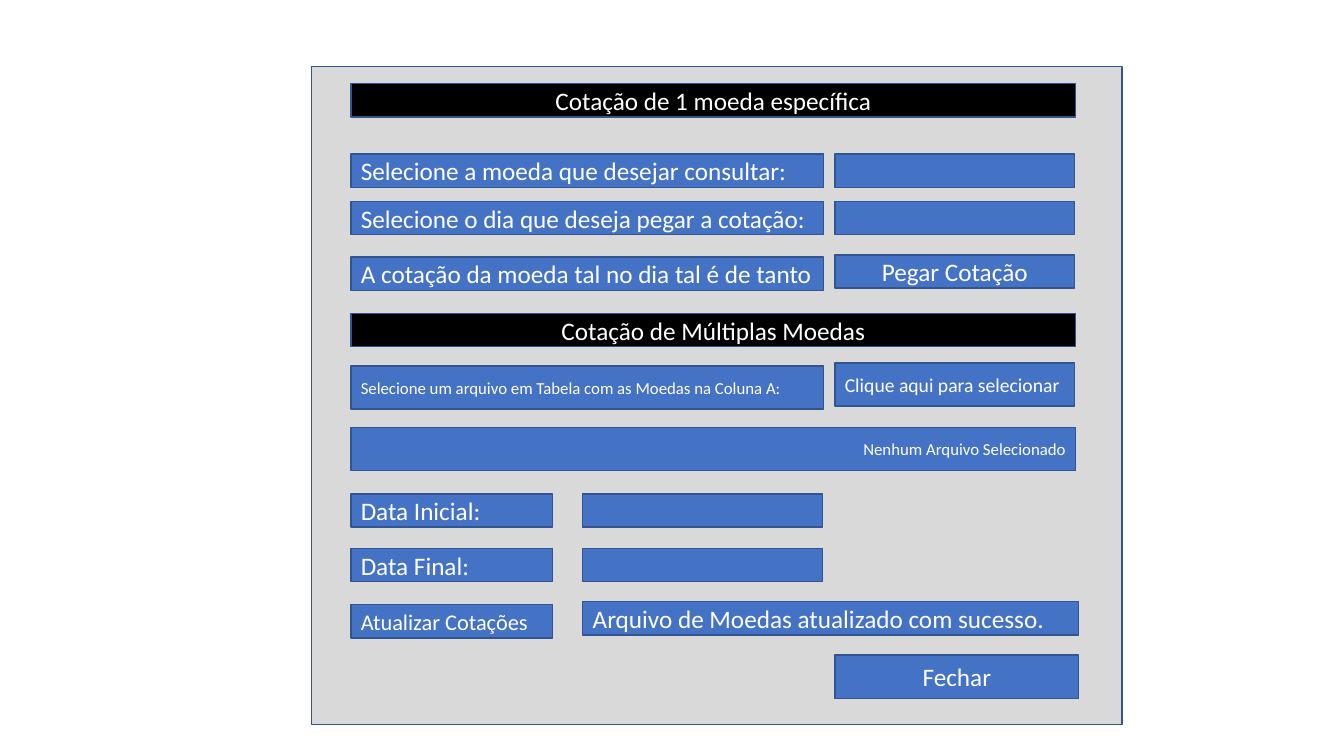
from dataclasses import dataclass
from typing import NamedTuple

from pptx import Presentation
from pptx.dml.color import RGBColor
from pptx.enum.shapes import MSO_SHAPE
from pptx.enum.text import MSO_ANCHOR, PP_ALIGN
from pptx.shapes.autoshape import Shape
from pptx.slide import Slide
from pptx.util import Inches, Pt

BLUE = "4472C4"
BLACK = "000000"
GRAY = "D9D9D9"
OUTLINE = "325491"
WHITE = "FFFFFF"
LOW = 0.33
TALL = 0.43


class Columns(NamedTuple):
    left: float
    width: float


FORM = Columns(3.09, 8.04)
FULL = Columns(3.48, 7.19)
QUESTION = Columns(3.48, 4.69)
LABEL = Columns(3.48, 2)
DATE = Columns(5.78, 2.38)
ANSWER = Columns(8.28, 2.38)
MESSAGE = Columns(5.78, 4.92)
CLOSE = Columns(8.28, 2.42)


@dataclass(frozen=True)
class Field:
    columns: Columns
    top: float
    text: str = ""
    height: float = LOW
    size: int = 18
    align: PP_ALIGN = PP_ALIGN.LEFT
    fill: str = BLUE


FIELDS = [
    Field(FORM, 0.66, height=6.53, fill=GRAY),
    Field(FULL, 0.83, "Cotação de 1 moeda específica", align=PP_ALIGN.CENTER, fill=BLACK),
    Field(QUESTION, 1.53, "Selecione a moeda que desejar consultar:"),
    Field(ANSWER, 1.53),
    Field(QUESTION, 2, "Selecione o dia que deseja pegar a cotação:"),
    Field(ANSWER, 2),
    Field(QUESTION, 2.55, "A cotação da moeda tal no dia tal é de tanto"),
    Field(ANSWER, 2.53, "Pegar Cotação", align=PP_ALIGN.CENTER),
    Field(FULL, 3.11, "Cotação de Múltiplas Moedas", align=PP_ALIGN.CENTER, fill=BLACK),
    Field(QUESTION, 3.63, "Selecione um arquivo em Tabela com as Moedas na Coluna A:", TALL, 12),
    Field(ANSWER, 3.6, "Clique aqui para selecionar", TALL, 14),
    Field(FULL, 4.24, "Nenhum Arquivo Selecionado", TALL, 12, PP_ALIGN.RIGHT),
    Field(LABEL, 4.9, "Data Inicial:"),
    Field(DATE, 4.9),
    Field(LABEL, 5.44, "Data Final:"),
    Field(DATE, 5.44),
    Field(LABEL, 6, "Atualizar Cotações", size=16),
    Field(MESSAGE, 5.97, "Arquivo de Moedas atualizado com sucesso."),
    Field(CLOSE, 6.5, "Fechar", TALL, align=PP_ALIGN.CENTER),
]


def color(value: str) -> RGBColor:
    return RGBColor.from_string(value)


def write_text(shape: Shape, text: str, *, size: int, align: PP_ALIGN) -> None:
    frame = shape.text_frame
    frame.word_wrap = True
    frame.vertical_anchor = MSO_ANCHOR.MIDDLE
    paragraph = frame.paragraphs[0]
    paragraph.alignment = align
    run = paragraph.add_run()
    run.text = text
    run.font.name = "Calibri"
    run.font.size = Pt(size)
    run.font.color.rgb = color(WHITE)


def draw_field(slide: Slide, field: Field) -> None:
    shape = slide.shapes.add_shape(
        MSO_SHAPE.RECTANGLE,
        Inches(field.columns.left),
        Inches(field.top),
        Inches(field.columns.width),
        Inches(field.height),
    )
    shape.shadow.inherit = False
    shape.fill.solid()
    shape.fill.fore_color.rgb = color(field.fill)
    shape.line.color.rgb = color(OUTLINE)
    shape.line.width = Pt(1)
    if field.text:
        write_text(shape, field.text, size=field.size, align=field.align)


def main() -> None:
    presentation = Presentation()
    presentation.slide_width = Inches(13.33)
    presentation.slide_height = Inches(7.5)
    slide = presentation.slides.add_slide(presentation.slide_layouts[6])
    for field in FIELDS:
        draw_field(slide, field)
    presentation.save("out.pptx")


if __name__ == "__main__":
    main()
